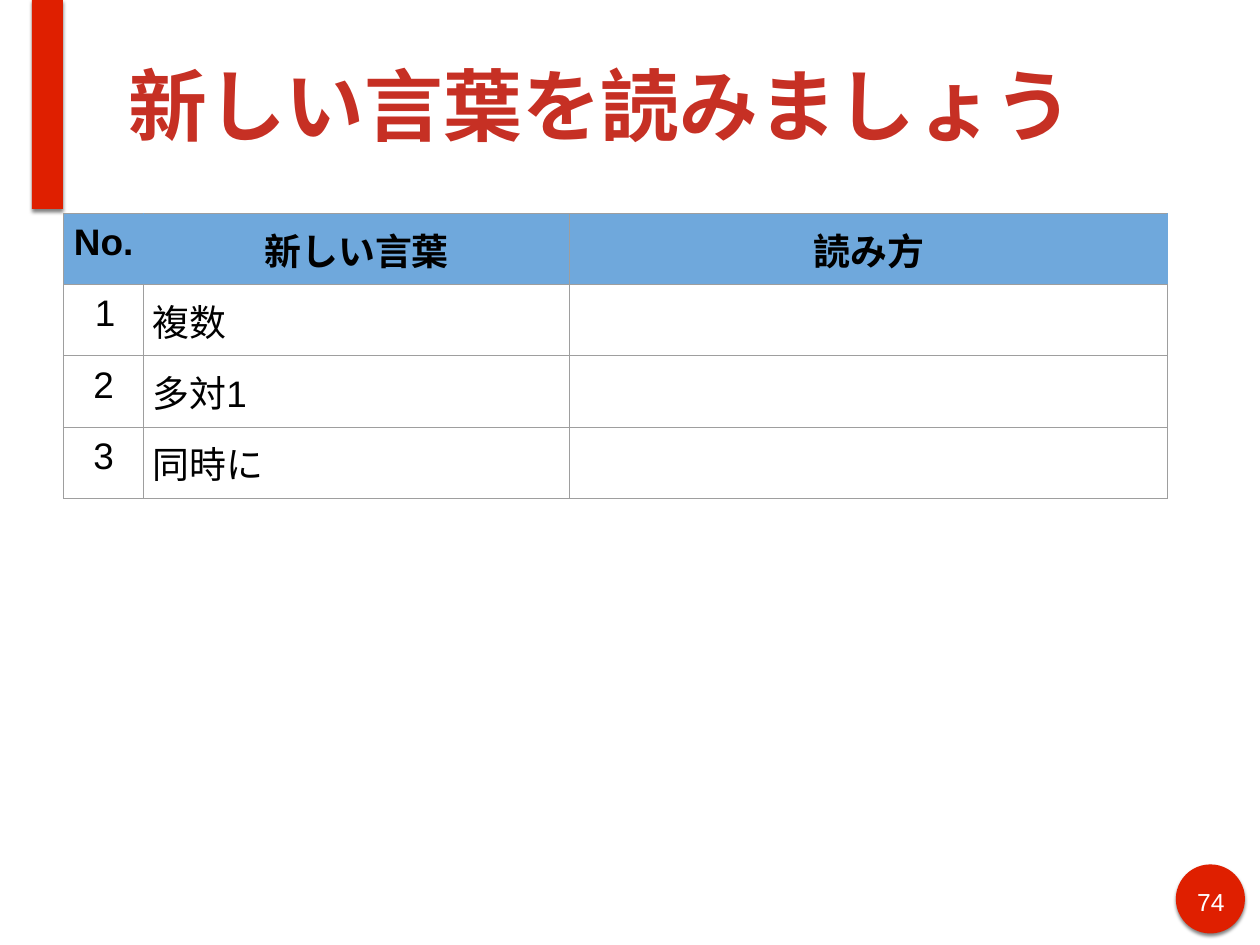
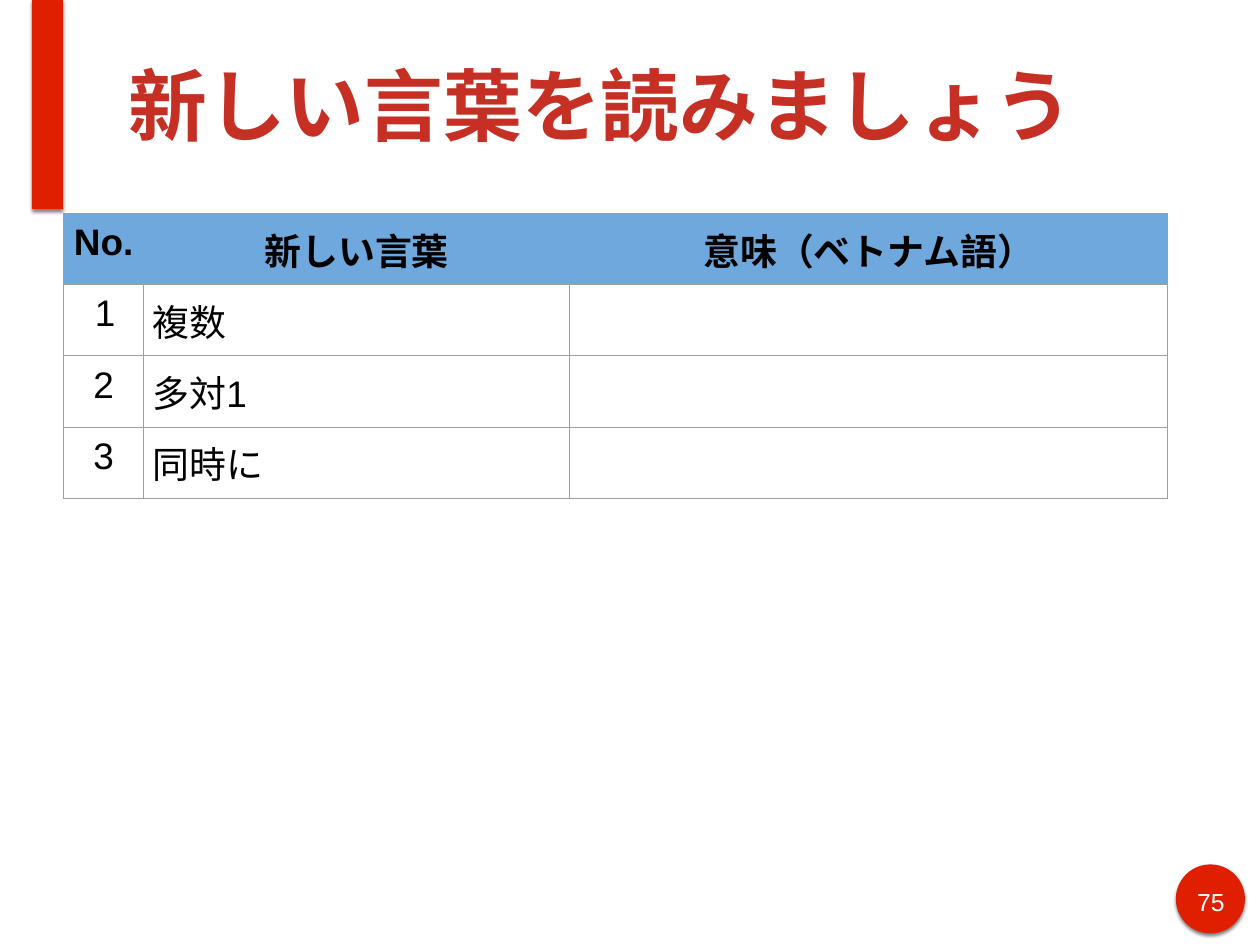
from lxml import etree
from pptx import Presentation
from pptx.dml.color import RGBColor
from pptx.enum.shapes import MSO_SHAPE as Shape
from pptx.enum.text import MSO_ANCHOR as Anchor, MSO_AUTO_SIZE as AutoSize, PP_ALIGN as Align
from pptx.oxml import parse_xml
from pptx.oxml.ns import nsdecls
from pptx.util import Pt

PX = 9144  # 100 px to the inch
RED = RGBColor(0xDF, 0x1F, 0x00)
TITLE_RED = RGBColor(0xC6, 0x30, 0x24)
HEADER_BLUE = RGBColor(0x6F, 0xA8, 0xDC)
GRID_GREY = RGBColor(0x9E, 0x9E, 0x9E)
BLACK = RGBColor(0, 0, 0)
WHITE = RGBColor(0xFF, 0xFF, 0xFF)

TITLE = "新しい言葉を読みましょう"
WORDS = ["複数", "多対1", "同時に"]
PAGES = [(74, "読み方"), (75, "意味（ベトナム語）")]
DECORATIONS = [(Shape.OVAL, (1327, 976, 78, 78)), (Shape.RECTANGLE, (36, 0, 35, 236))]
COLUMN_WIDTHS = [90, 481, 675]
ROW_HEIGHT = 76
CELL_MARGIN = 10
SHADOW = f"""<a:effectLst {nsdecls('a')}>
  <a:outerShdw blurRad="38100" dist="25400" dir="5400000" rotWithShape="0">
    <a:srgbClr val="000000"><a:alpha val="50000"/></a:srgbClr>
  </a:outerShdw></a:effectLst>"""


def write(frame, text, size, color, align=Align.LEFT, bold=False):
    para = frame.paragraphs[0]
    para.text = text
    para.alignment = align
    font = para.font
    font.name, font.size, font.bold = "Arial", Pt(size), bold
    font.color.rgb = color
    return para


def set_frame(frame, margin):
    frame.word_wrap = True
    frame.auto_size = AutoSize.NONE
    frame.margin_left = frame.margin_right = margin * PX
    frame.margin_top = frame.margin_bottom = margin * PX


deck = Presentation()
deck.slide_width, deck.slide_height = 1422 * PX, 1067 * PX

for number, last_heading in PAGES:
    page = deck.slides.add_slide(deck.slide_layouts[5])

    # Red band and page number disc
    for preset, place in DECORATIONS:
        shape = page.shapes.add_shape(preset, *[length * PX for length in place])
        shape.fill.solid()
        shape.fill.fore_color.rgb = RED
        shape.line.fill.background()
        shape._element.spPr.append(parse_xml(SHADOW))

    # Page number
    box = page.shapes.add_textbox(1342 * PX, 995 * PX, 49 * PX, 39 * PX)
    set_frame(box.text_frame, 6)
    write(box.text_frame, str(number), 20, WHITE, Align.CENTER)

    # Title
    title = page.shapes.title
    title.left, title.top, title.width, title.height = 139 * PX, 12 * PX, 1214 * PX, 212 * PX
    set_frame(title.text_frame, 6)
    title.text_frame.vertical_anchor = Anchor.MIDDLE
    write(title.text_frame, TITLE, 64, TITLE_RED, bold=True)

    # Vocabulary table
    rows = [["No.", "新しい言葉", last_heading]]
    rows += [[str(index), word, ""] for index, word in enumerate(WORDS, 1)]
    table = page.shapes.add_table(
        len(rows), len(COLUMN_WIDTHS), 72 * PX, 241 * PX,
        sum(COLUMN_WIDTHS) * PX, len(rows) * ROW_HEIGHT * PX).table
    table.first_row = table.horz_banding = False
    for column, width in zip(table.columns, COLUMN_WIDTHS):
        column.width = width * PX

    for r, texts in enumerate(rows):
        table.rows[r].height = ROW_HEIGHT * PX
        for c, text in enumerate(texts):
            cell = table.cell(r, c)
            cell.margin_left = cell.margin_right = CELL_MARGIN * PX
            cell.margin_top = cell.margin_bottom = CELL_MARGIN * PX

            # The header hides the edges right of "No." and at the table's right
            hidden = {(0, "R"), (1, "L"), (2, "R")} if r == 0 else set()
            for side in "LRTB":
                color = HEADER_BLUE if (c, side) in hidden else GRID_GREY
                cell._tc.get_or_add_tcPr().append(etree.fromstring(
                    f'<a:ln{side} {nsdecls("a")} w="9525"><a:solidFill>'
                    f'<a:srgbClr val="{color}"/></a:solidFill></a:ln{side}>'))
            if r == 0:
                cell.fill.solid()
                cell.fill.fore_color.rgb = HEADER_BLUE
            else:
                cell.fill.background()

            first_number = (r, c) == (1, 0)
            centred = (r == 0 or c == 0) and not first_number
            if text:
                para = write(cell.text_frame, text, 30, BLACK,
                             Align.CENTER if centred else Align.LEFT, bold=r == 0)
                if first_number:
                    indent = para._p.get_or_add_pPr()
                    indent.set("marL", str(50 * PX))
                    indent.set("indent", str(-25 * PX))

deck.save("out.pptx")
